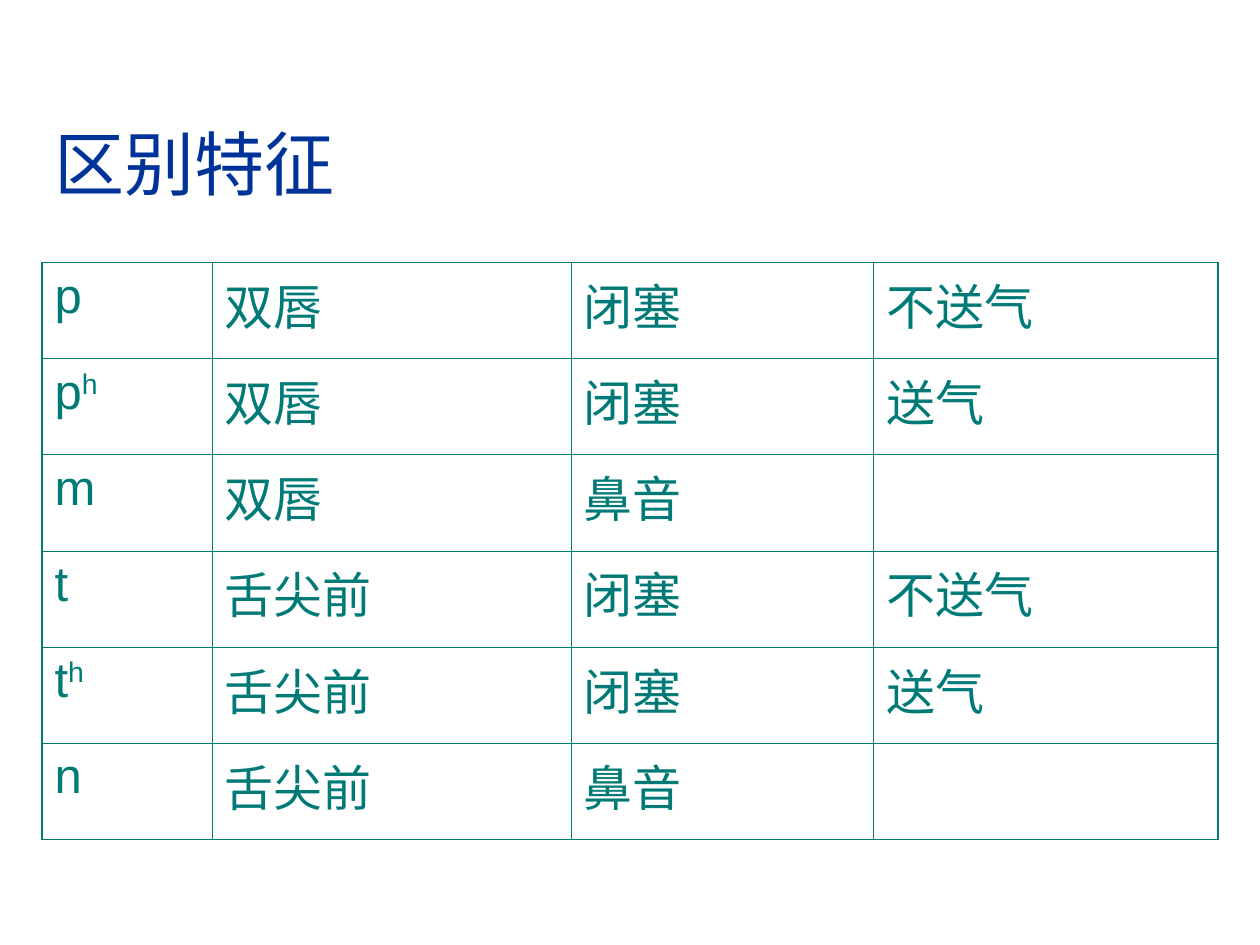
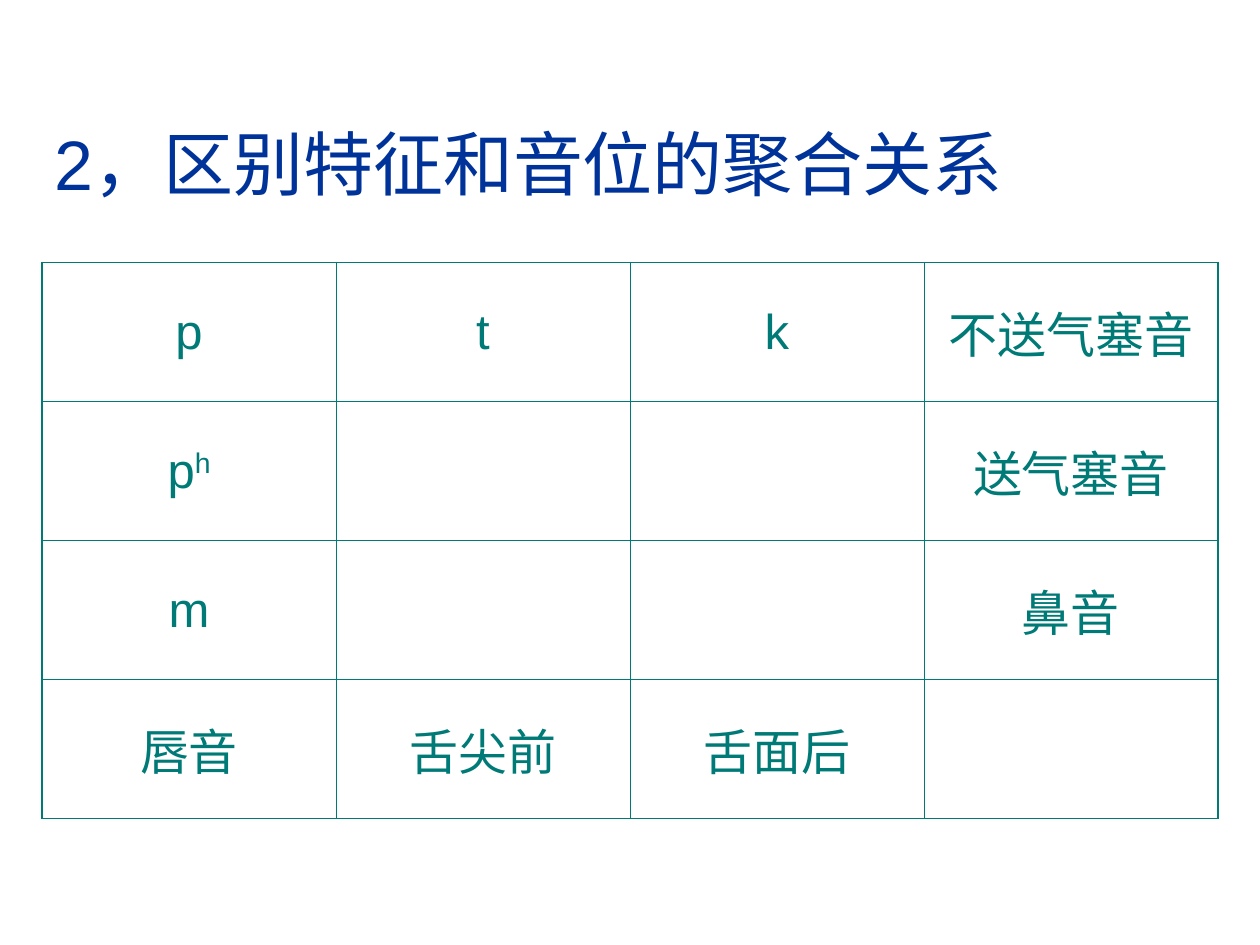
"""Build two slides of tables on distinctive features of phonemes."""
from dataclasses import dataclass

import lxml.etree
import pptx
import pptx.dml.color
import pptx.enum.lang
import pptx.enum.text
import pptx.oxml.ns
import pptx.presentation
import pptx.table
import pptx.text.text
import pptx.util

ALIGN = pptx.enum.text.PP_ALIGN
ANCHOR = pptx.enum.text.MSO_ANCHOR


@dataclass(frozen=True)
class Theme:
    font: str = "Arial"
    title_color: str = "003399"
    table_color: str = "007A77"
    title_size: int = 40
    table_size: int = 28
    frame_line: float = 1.08
    inner_line: float = 0.45
    superscript: str = "30000"


@dataclass(frozen=True)
class Grid:
    unit: int = pptx.util.Inches(10) // 30
    left: float = 1
    width: float = 28
    title_top: float = 2
    title_height: float = 3.75
    table_top: float = 6.25

    def length(self, units: float) -> int:
        return round(self.unit * units)


@dataclass(frozen=True)
class FeatureSlide:
    title: str
    columns: tuple[float, ...]
    row_height: float
    rows: tuple[tuple[str, ...], ...]
    align: ALIGN = ALIGN.LEFT
    anchor: ANCHOR = ANCHOR.TOP


THEME = Theme()
GRID = Grid()

SLIDES = (
    FeatureSlide(
        title="区别特征",
        columns=(4.05, 8.55, 7.2, 8.2),
        row_height=2.29,
        rows=(
            ("p", "双唇", "闭塞", "不送气"),
            ("p^h", "双唇", "闭塞", "送气"),
            ("m", "双唇", "鼻音", ""),
            ("t", "舌尖前", "闭塞", "不送气"),
            ("t^h", "舌尖前", "闭塞", "送气"),
            ("n", "舌尖前", "鼻音", ""),
        ),
    ),
    FeatureSlide(
        title="2，区别特征和音位的聚合关系",
        columns=(GRID.width / 4,) * 4,
        row_height=3.31,
        rows=(
            ("p", "t", "k", "不送气塞音"),
            ("p^h", "", "", "送气塞音"),
            ("m", "", "", "鼻音"),
            ("唇音", "舌尖前", "舌面后", ""),
        ),
        align=ALIGN.CENTER,
        anchor=ANCHOR.MIDDLE,
    ),
)


def write(frame: pptx.text.text.TextFrame, text: str, *, size: float, color: str,
          align: ALIGN = ALIGN.LEFT) -> None:
    paragraph = frame.paragraphs[0]
    paragraph.alignment = align
    paragraph.font.size = pptx.util.Pt(size)
    base, _, raised = text.partition("^")
    for part in filter(None, (base, raised)):
        run = paragraph.add_run()
        run.text = part
        run.font.name = THEME.font
        run.font.size = pptx.util.Pt(size)
        run.font.color.rgb = pptx.dml.color.RGBColor.from_string(color)
        run.font.language_id = pptx.enum.lang.MSO_LANGUAGE_ID.SIMPLIFIED_CHINESE
        if part is raised:
            run._r.get_or_add_rPr().set("baseline", THEME.superscript)


def draw_border(cell: pptx.table._Cell, side: str, weight: float) -> None:
    qn = pptx.oxml.ns.qn
    line = lxml.etree.SubElement(cell._tc.get_or_add_tcPr(), qn(f"a:ln{side}"),
                                 w=str(pptx.util.Pt(weight)))
    fill = lxml.etree.SubElement(line, qn("a:solidFill"))
    lxml.etree.SubElement(fill, qn("a:srgbClr"), val=THEME.table_color)


def add_title(slide: pptx.slide.Slide, text: str) -> None:
    title = slide.shapes.title
    title.left, title.top = GRID.length(GRID.left), GRID.length(GRID.title_top)
    title.width, title.height = GRID.length(GRID.width), GRID.length(GRID.title_height)
    title.text_frame.auto_size = pptx.enum.text.MSO_AUTO_SIZE.NONE
    title.text_frame.vertical_anchor = ANCHOR.MIDDLE
    write(title.text_frame, text, size=THEME.title_size, color=THEME.title_color)


def add_feature_table(slide: pptx.slide.Slide, content: FeatureSlide) -> None:
    row_count, column_count = len(content.rows), len(content.columns)
    table = slide.shapes.add_table(
        row_count, column_count, GRID.length(GRID.left), GRID.length(GRID.table_top),
        GRID.length(GRID.width), GRID.length(content.row_height * row_count)).table
    table.first_row = table.horz_banding = False
    for column, width in zip(table.columns, content.columns):
        column.width = GRID.length(width)
    for r, features in enumerate(content.rows):
        table.rows[r].height = GRID.length(content.row_height)
        for c, feature in enumerate(features):
            cell = table.cell(r, c)
            cell.vertical_anchor = content.anchor
            on_frame = {"L": c == 0, "R": c == column_count - 1,
                        "T": r == 0, "B": r == row_count - 1}
            for side, outer in on_frame.items():
                draw_border(cell, side, THEME.frame_line if outer else THEME.inner_line)
            cell.fill.background()
            write(cell.text_frame, feature, size=THEME.table_size,
                  color=THEME.table_color, align=content.align)


def main() -> None:
    deck = pptx.Presentation()
    deck.slide_width, deck.slide_height = pptx.util.Inches(10), pptx.util.Inches(7.5)
    for content in SLIDES:
        slide = deck.slides.add_slide(deck.slide_layouts.get_by_name("Title Only"))
        add_title(slide, content.title)
        add_feature_table(slide, content)
    deck.save("out.pptx")


if __name__ == "__main__":
    main()
